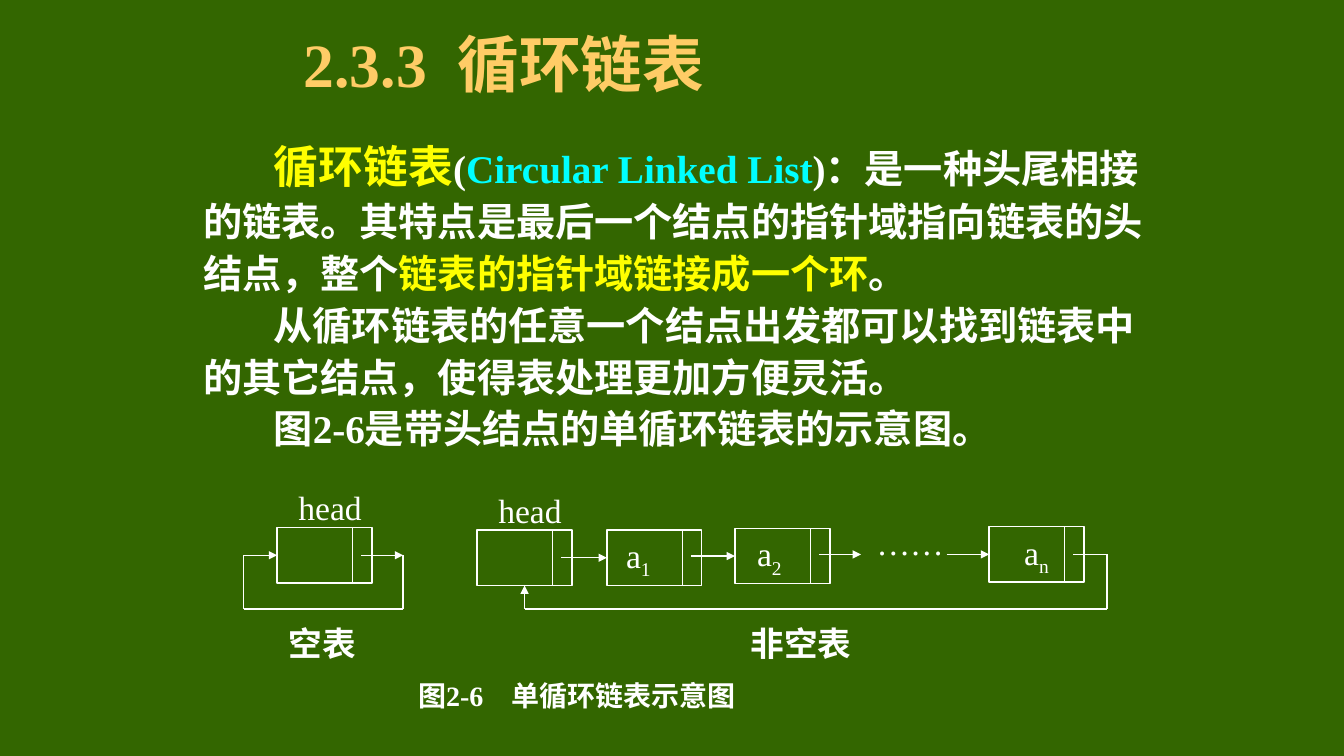
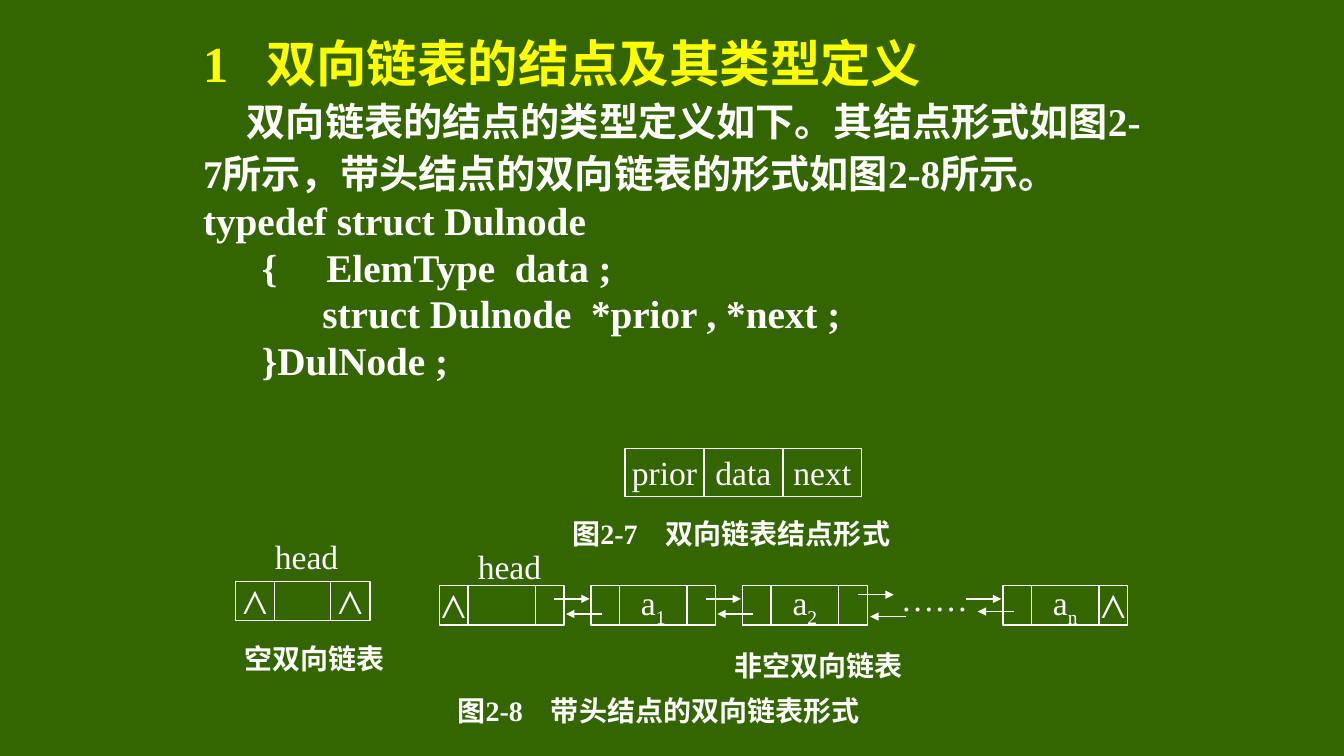
from itertools import accumulate, pairwise

from lxml.etree import SubElement
from pptx import Presentation
from pptx.dml.color import RGBColor
from pptx.enum.shapes import MSO_CONNECTOR, MSO_SHAPE
from pptx.enum.text import MSO_ANCHOR, PP_ALIGN
from pptx.oxml.ns import qn
from pptx.util import Inches, Pt

COLUMNS = 160
ROWS = 90
WIDTH = Inches(13.333)
HEIGHT = Inches(7.5)
COLORS = {
    "background": "336600",
    "title": "FFCC66",
    "accent": "FFFF00",
    "term": "00FFFF",
    "text": "FFFFFF",
}
LATIN = "Times New Roman"
EAST_ASIAN = "Noto Sans CJK SC"
RUN_STYLE = {"size": 24, "bold": False, "color": "text", "xml": {}}
BODY = {"size": 28, "bold": True}
CAPTION = {"size": 20, "bold": True}
ACCENT = BODY | {"color": "accent"}
PLAIN = {"margin_left": 0, "margin_right": 0, "margin_top": 0, "margin_bottom": 0,
         "word_wrap": False, "vertical_anchor": MSO_ANCHOR.MIDDLE}
WRAPPED = {"margin_left": Inches(0.1), "margin_right": Inches(0.1),
           "margin_top": Inches(0.05), "margin_bottom": Inches(0.05),
           "word_wrap": True, "vertical_anchor": MSO_ANCHOR.MIDDLE}

NODE_WIDTH, NODE_HEIGHT = 11.3, 6.6
DIVIDER = 9
POINTER_START, POINTER_END = 10, 15
LOOP_ROW = 72.5
DOUBLE_CELLS = (3.4, 8.05, 3.4)
DOUBLE_HEIGHT = 4.7
DOUBLE_ROW = 69.7
NIL = "⋀"


def column(count):
    return round(WIDTH * count / COLUMNS)


def row(count):
    return round(HEIGHT * count / ROWS)


def area(left, top, width, height):
    return column(left), row(top), column(width), row(height)


def set_values(target, values):
    for name, value in values.items():
        setattr(target, name, value)


def rgb(name):
    return RGBColor.from_string(COLORS[name])


def spread(points, style):
    return " ", style | {"xml": {"spc": round(points * 100)}}


def indexed(letter, index):
    return [(letter, {}), (index, {"xml": {"baseline": -25000}})]


def add_run(paragraph, text, style):
    style = RUN_STYLE | style
    run = paragraph.add_run()
    run.text = text
    set_values(run.font, {"size": Pt(style["size"]), "bold": style["bold"], "name": LATIN})
    run.font.color.rgb = rgb(style["color"])
    properties = run._r.get_or_add_rPr()
    SubElement(properties, qn("a:ea")).set("typeface", EAST_ASIAN)
    for name, value in style["xml"].items():
        properties.set(name, str(value))


def fill_paragraph(paragraph, runs, left=0, first=0, **values):
    properties = paragraph._p.get_or_add_pPr()
    properties.set("marL", str(column(left)))
    properties.set("indent", str(column(first)))
    set_values(paragraph, values)
    for text, style in runs:
        add_run(paragraph, text, style)


def add_text(slide, box, runs, frame_values=PLAIN, **values):
    frame = slide.shapes.add_textbox(*area(*box)).text_frame
    set_values(frame, frame_values)
    fill_paragraph(frame.paragraphs[0], runs, alignment=PP_ALIGN.CENTER, **values)


def add_body(slide, box, paragraphs):
    frame = slide.shapes.add_textbox(*area(*box)).text_frame
    set_values(frame, WRAPPED | {"vertical_anchor": MSO_ANCHOR.TOP})
    for position, (runs, values) in enumerate(paragraphs):
        paragraph = frame.add_paragraph() if position else frame.paragraphs[0]
        fill_paragraph(paragraph, runs, **values)


def add_caption(slide, box, number, text):
    runs = [(f"图{number}", CAPTION), spread(15, CAPTION), (text, CAPTION)]
    add_text(slide, box, runs, WRAPPED, line_spacing=Pt(24))


def add_cell(slide, box, runs=(), right_margin=0):
    shape = slide.shapes.add_shape(MSO_SHAPE.RECTANGLE, *area(*box))
    shape.shadow.inherit = False
    shape.fill.background()
    shape.line.color.rgb = rgb("text")
    shape.line.width = Pt(1)
    set_values(shape.text_frame, PLAIN | {"margin_right": column(right_margin)})
    fill_paragraph(shape.text_frame.paragraphs[0], runs, alignment=PP_ALIGN.CENTER)
    return shape


def add_path(slide, points, arrow=True, target=None, site=1):
    for (x1, y1), (x2, y2) in pairwise(points):
        connector = slide.shapes.add_connector(
            MSO_CONNECTOR.STRAIGHT, column(x1), row(y1), column(x2), row(y2))
        connector.line.color.rgb = rgb("text")
        connector.line.width = Pt(1)
        SubElement(connector._element.spPr, qn("a:effectLst"))
    if arrow:
        SubElement(connector.line._get_or_add_ln(), qn("a:tailEnd")).set("type", "triangle")
    if target is not None:
        connector.end_connect(target, site)


def add_single_node(slide, left, top, runs=(), right_margin=0):
    node = add_cell(slide, (left, top, NODE_WIDTH, NODE_HEIGHT), runs, right_margin)
    divider = left + DIVIDER
    add_path(slide, [(divider, top), (divider, top + NODE_HEIGHT)], arrow=False)
    return node


def add_cells(slide, left, top, widths, height, contents):
    lefts = accumulate(widths[:-1], initial=left)
    for cell_left, width, runs in zip(lefts, widths, contents):
        add_cell(slide, (cell_left, top, width, height), runs)


def add_slide(presentation):
    slide = presentation.slides.add_slide(presentation.slide_layouts[6])
    slide.background.fill.solid()
    slide.background.fill.fore_color.rgb = rgb("background")
    return slide


def draw_empty_circle(slide):
    left, top = 33, 62.8
    middle = top + NODE_HEIGHT / 2
    add_text(slide, (33.8, 57.4, 11, 6), [("head", {})])
    node = add_single_node(slide, left, top)
    right = left + POINTER_END
    add_path(slide, [(left + POINTER_START, middle), (right, middle)])
    add_path(slide, [(right, middle), (right, LOOP_ROW), (left - 4, LOOP_ROW),
                     (left - 4, middle), (left, middle)], target=node)
    add_text(slide, (33, 73.7, 10.8, 5.6), [("空表", {"bold": True})])


def draw_filled_circle(slide):
    add_text(slide, (57.6, 57.7, 11, 6), [("head", {})])
    specifications = [
        (56.8, 63.1, [], 0),
        (72.25, 63.1, indexed("a", "1"), 3.8),
        (87.5, 62.9, indexed("a", "2"), 3.1),
        (117.75, 62.7, indexed("a", "n"), 0),
    ]
    nodes = [add_single_node(slide, *values) for values in specifications]
    tops = [values[1] for values in specifications]
    starts = [values[0] + POINTER_START for values in specifications]
    for start, top, target in zip(starts, tops[1:3], nodes[1:3]):
        middle = top + NODE_HEIGHT / 2
        add_path(slide, [(start, middle), (start + 5, middle)], target=target)
    add_path(slide, [(starts[2], 66), (starts[2] + 5, 66)])
    add_text(slide, (102.7, 61.7, 11.3, 5.6), [("……", {})])
    add_path(slide, [(112.7, 66), (117.75, 66)], target=nodes[3])
    center = specifications[0][0] + NODE_WIDTH / 2
    add_path(slide, [(starts[3], 66), (131.8, 66), (131.8, LOOP_ROW),
                     (center, LOOP_ROW), (center, 69.7)], target=nodes[0], site=2)
    add_text(slide, (89, 73.7, 12.7, 5.6), [("非空表", {"bold": True})])


def build_circular_list(presentation):
    slide = add_slide(presentation)
    title = {"size": 44, "bold": True, "color": "title"}
    add_text(slide, (29, 2, 62, 11),
             [("2.3.3", title), spread(11, title), ("循环链表", title)], WRAPPED)
    layout = {"first": 8.4, "line_spacing": Pt(37)}
    add_body(slide, (23, 16.2, 115, 40), [
        ([("循环链表", ACCENT | {"size": 32}), ("(", BODY),
          ("Circular Linked List", BODY | {"color": "term"}),
          (")：是一种头尾相接的链表。其特点是最后一个结点的指针域指向链表的头结点，整个", BODY),
          ("链表的指针域链接成一个环", ACCENT), ("。", BODY)], layout),
        ([("从循环链表的任意一个结点出发都可以找到链表中的其它结点，使得表处理更加方便灵活。", BODY)],
         layout),
        ([("图2-6是带头结点的单循环链表的示意图。", BODY)], layout),
    ])
    draw_empty_circle(slide)
    draw_filled_circle(slide)
    add_caption(slide, (46, 80, 45.4, 5.6), "2-6", "单循环链表示意图")


def draw_double_lists(slide):
    add_text(slide, (32, 63.8, 9, 4.7), [("head", {})])
    nil = [(NIL, {})]
    add_cells(slide, 28, 69.2, (4.7, 6.65, 4.7), DOUBLE_HEIGHT, (nil, [], nil))
    add_text(slide, (28, 76, 18.9, 4.7), [("空双向链表", CAPTION)])

    add_text(slide, (56.4, 65, 8.5, 4.7), [("head", {})])
    nodes = [
        (52.3, (nil, [], [])),
        (70.35, ([], indexed("a", "1"), [])),
        (88.4, ([], indexed("a", "2"), [])),
        (119.4, ([], indexed("a", "n"), nil)),
    ]
    for left, contents in nodes:
        add_cells(slide, left, DOUBLE_ROW, DOUBLE_CELLS, DOUBLE_HEIGHT, contents)
    links = [(66, 71.3, 73.1), (84, 71.3, 73.1), (102.2, 70.8, 73.4), (115, 71.3, 72.8)]
    for start, next_row, prior_row in links:
        add_path(slide, [(start, next_row), (start + 4.2, next_row)])
        add_path(slide, [(start + 5.7, prior_row), (start + 1.4, prior_row)])
    add_text(slide, (107, 68.9, 8.5, 4.7), [("……", {})])
    add_text(slide, (86.6, 76.9, 21.8, 4.7), [("非空双向链表", CAPTION)])


def build_double_list(presentation):
    slide = add_slide(presentation)
    heading = ACCENT | {"size": 36}
    code = {"line_spacing": Pt(33.5)}
    add_body(slide, (23, 3.1, 115, 48), [
        ([("1", heading), spread(18, heading), ("双向链表的结点及其类型定义", heading)],
         {"line_spacing": Pt(44)}),
        ([("双向链表的结点的类型定义如下。其结点形式如图2-7所示，带头结点的双向链表的形式如图2-8所示。",
           BODY)], {"first": 5.2, "line_spacing": Pt(37)}),
        ([("typedef struct Dulnode", BODY)], code),
        ([("{", BODY), spread(28, BODY), ("ElemType", BODY), spread(7, BODY),
          ("data ;", BODY)], code | {"left": 7}),
        ([("struct Dulnode", BODY), spread(7, BODY), ("*prior , *next ;", BODY)],
         code | {"left": 14.2}),
        ([("}DulNode ;", BODY)], code | {"left": 7}),
    ])
    fields = [[(name, {})] for name in ("prior", "data", "next")]
    add_cells(slide, 74.4, 53.4, (9.4, 9.4, 9.4), 5.7, fields)
    add_caption(slide, (66.7, 61.4, 40.7, 4.3), "2-7", "双向链表结点形式")
    draw_double_lists(slide)
    add_caption(slide, (47.9, 82, 61, 5.2), "2-8", "带头结点的双向链表形式")


def main():
    presentation = Presentation()
    set_values(presentation, {"slide_width": WIDTH, "slide_height": HEIGHT})
    build_circular_list(presentation)
    build_double_list(presentation)
    presentation.save("out.pptx")


if __name__ == "__main__":
    main()
